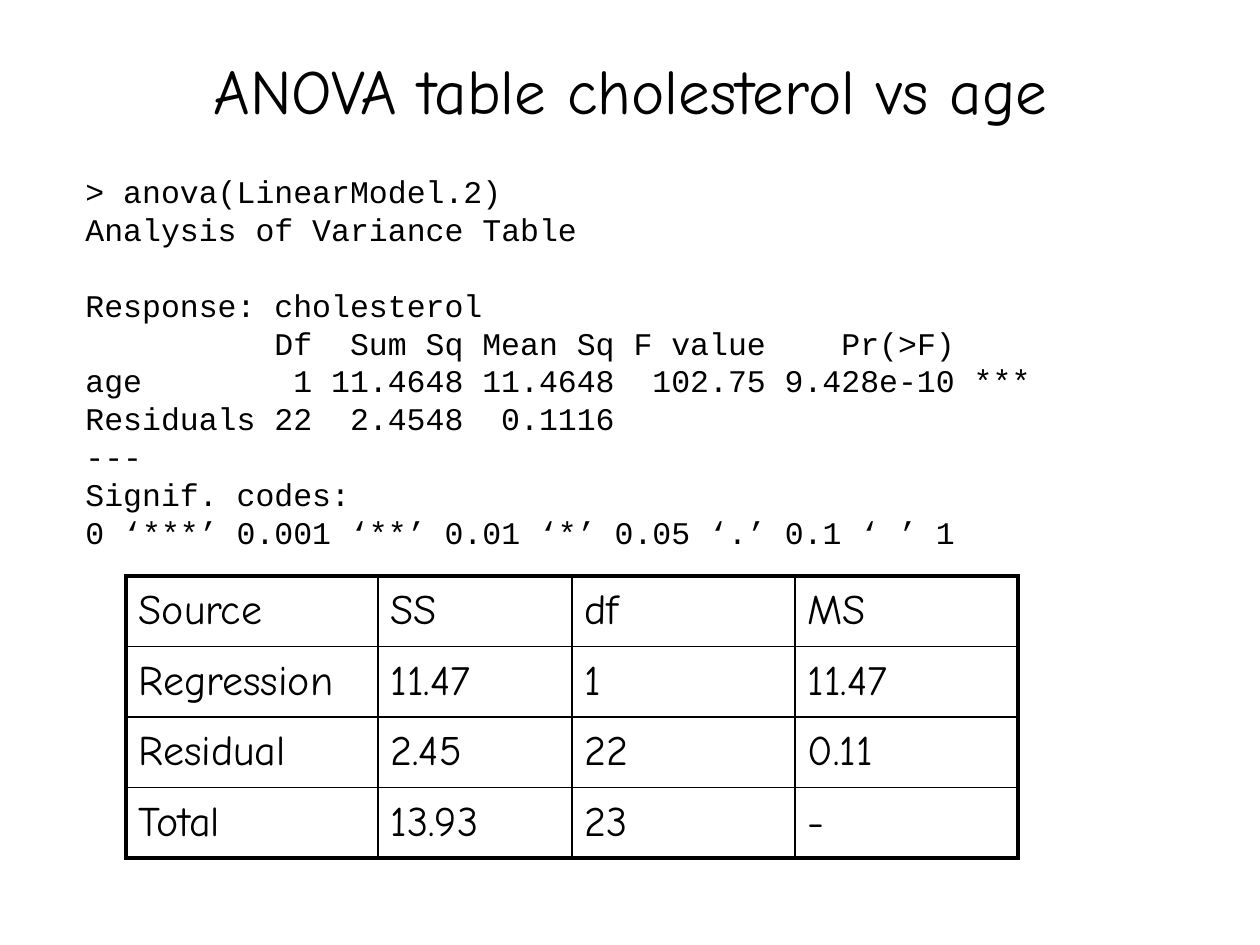
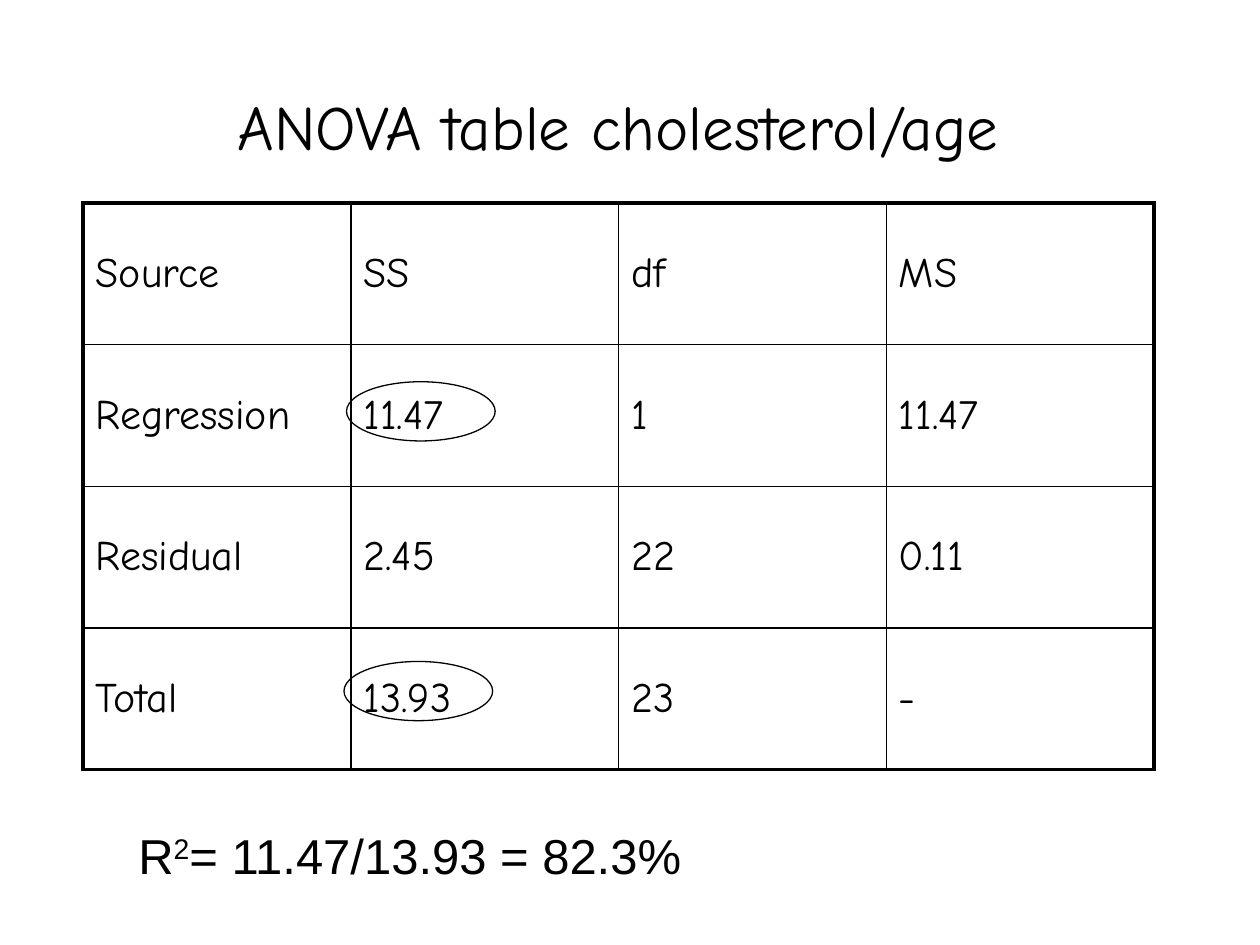
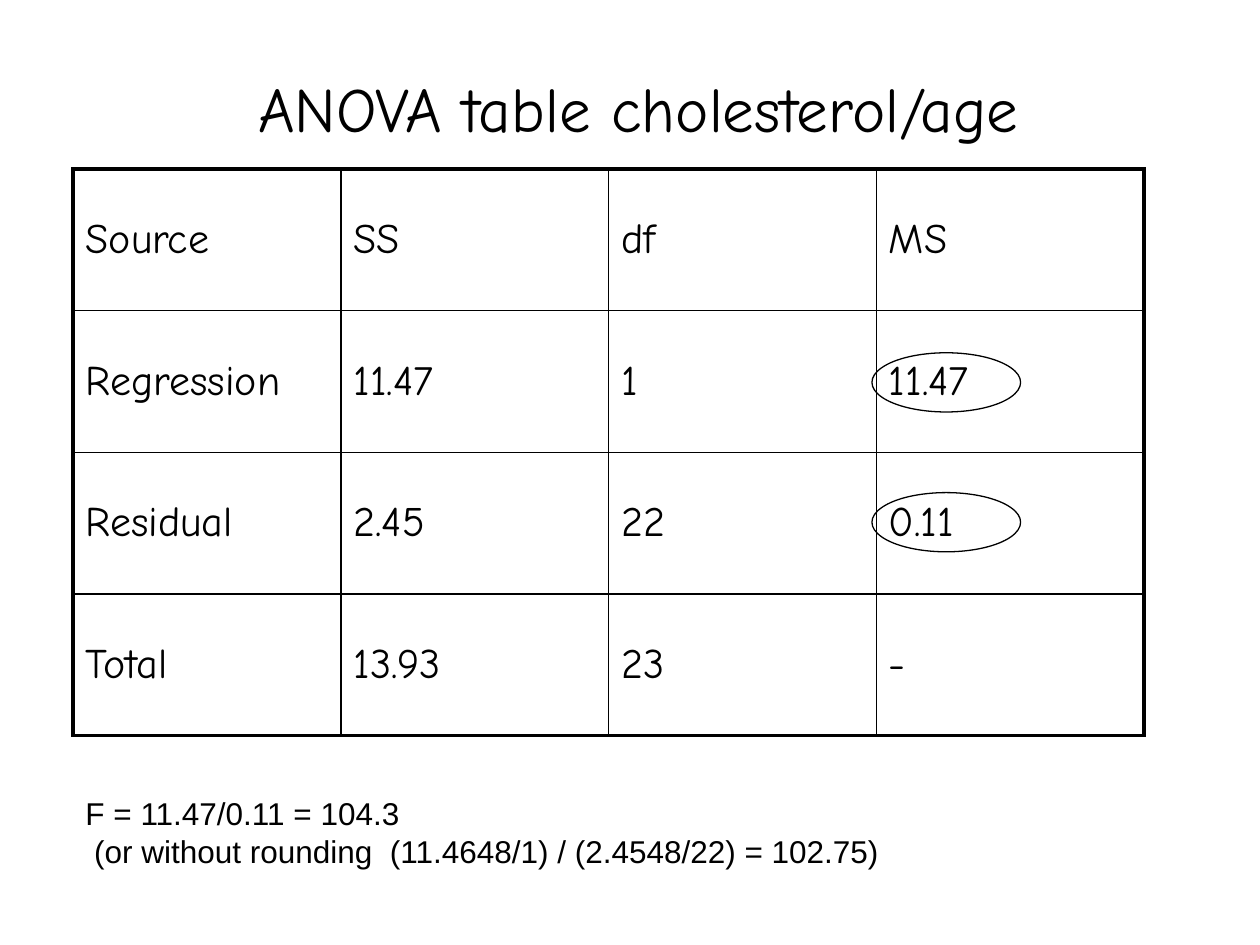
from dataclasses import dataclass

from lxml.etree import SubElement
from pptx import Presentation
from pptx.dml.color import RGBColor
from pptx.enum.shapes import MSO_SHAPE
from pptx.enum.text import MSO_ANCHOR, PP_ALIGN
from pptx.oxml.ns import qn
from pptx.util import Inches, Pt


@dataclass(frozen=True)
class Theme:
    ink: str = "000000"
    heading_font: str = "Comic Neue"
    body_font: str = "Arial"
    code_font: str = "Courier New"
    title_size: float = 36
    formula_size: float = 28
    cell_size: float = 24
    text_size: float = 18
    frame_line: float = 2.25
    grid_line: float = 1
    circle_line: float = 0.75


THEME = Theme()
INK = RGBColor.from_string(THEME.ink)


def style_text(frame, font, size):
    for paragraph in frame.paragraphs:
        for run in paragraph.runs:
            run.font.name = font
            run.font.size = Pt(size)
            run.font.color.rgb = INK


def add_text(slide, box, text, font, size):
    frame = slide.shapes.add_textbox(*map(Inches, box)).text_frame
    frame.word_wrap = True
    frame.text = text
    style_text(frame, font, size)
    return frame


ANOVA_ROWS = [
    ("Source", "SS", "df", "MS"),
    ("Regression", "11.47", "1", "11.47"),
    ("Residual", "2.45", "22", "0.11"),
    ("Total", "13.93", "23", "-"),
]
LAST = len(ANOVA_ROWS) - 1
EVEN_COLUMNS = [2.125] * 4
CIRCLE_SIZE = (1.18, 0.47)

# title, title position, table position, column widths, row height, circle positions
SLIDES = [
    ("ANOVA table cholesterol vs age", (0.67, 0.08), (1, 4.57),
     [2, 1.54, 1.77, 1.77], 0.56, []),
    ("ANOVA table cholesterol/age", (0.57, 0.37), (0.66, 1.61),
     EVEN_COLUMNS, 1.125, [(2.75, 3.03), (2.73, 5.25)]),
    ("ANOVA table cholesterol/age", (0.73, 0.23), (0.58, 1.34),
     EVEN_COLUMNS, 1.125, [(6.92, 2.8), (6.92, 3.91)]),
]

prs = Presentation()
prs.slide_width = Inches(10)
prs.slide_height = Inches(7.5)

for title, title_at, table_at, widths, row_height, circles in SLIDES:
    slide = prs.slides.add_slide(prs.slide_layouts[6])
    heading = add_text(slide, (*title_at, 8.67, 1.25), title,
                       THEME.heading_font, THEME.title_size)
    heading.vertical_anchor = MSO_ANCHOR.MIDDLE
    heading.paragraphs[0].alignment = PP_ALIGN.CENTER

    table_size = (sum(widths), row_height * len(ANOVA_ROWS))
    anova = slide.shapes.add_table(len(ANOVA_ROWS), len(widths),
                                   *map(Inches, table_at + table_size)).table
    anova.first_row = anova.horz_banding = False
    for column, width in zip(anova.columns, widths):
        column.width = Inches(width)
    for r, values in enumerate(ANOVA_ROWS):
        for c, value in enumerate(values):
            cell = anova.cell(r, c)
            cell.text = value
            cell.vertical_anchor = MSO_ANCHOR.MIDDLE
            style_text(cell.text_frame, THEME.heading_font, THEME.cell_size)
            outer_edges = {"lnL": c == 0, "lnR": c == LAST, "lnT": r == 0, "lnB": r == LAST}
            for edge, is_outer in outer_edges.items():
                weight = THEME.frame_line if is_outer else THEME.grid_line
                border = SubElement(cell._tc.get_or_add_tcPr(), qn(f"a:{edge}"), w=str(Pt(weight)))
                SubElement(SubElement(border, qn("a:solidFill")), qn("a:srgbClr"), val=THEME.ink)
            cell.fill.background()

    for circle_at in circles:
        circle = slide.shapes.add_shape(MSO_SHAPE.OVAL, *map(Inches, circle_at + CIRCLE_SIZE))
        circle.shadow.inherit = False
        circle.fill.background()
        circle.line.color.rgb = INK
        circle.line.width = Pt(THEME.circle_line)

console_slide, r_squared_slide, f_slide = prs.slides

# Console output: the numbers line up on tab stops, counted in characters
CONSOLE = [
    "> anova(LinearModel.2)",
    "Analysis of Variance Table",
    "Response: cholesterol",
    "\tDf\tSum Sq\tMean Sq\tF value\tPr(>F)",
    "age\t1\t11.4648\t11.4648\t102.75\t9.428e-10\t***",
    "Residuals\t22\t2.4548\t0.1116",
    "---",
    "Signif. codes:",
    "0 ‘***’ 0.001 ‘**’ 0.01 ‘*’ 0.05 ‘.’ 0.1 ‘ ’ 1",
]
CHARACTER_WIDTH = 0.15
TAB_STOPS = [(12, "r"), (20, "r"), (28, "r"), (36, "r"), (46, "r"), (47, "l")]
console = add_text(console_slide, (0.58, 1.32, 8.5, 3.13), "\n".join(CONSOLE),
                   THEME.code_font, THEME.text_size)
for line in console.paragraphs:
    line.line_spacing = Pt(21.6)
    if "\t" in line.text:
        stops = SubElement(line._p.get_or_add_pPr(), qn("a:tabLst"))
        for characters, side in TAB_STOPS:
            SubElement(stops, qn("a:tab"), pos=str(Inches(characters * CHARACTER_WIDTH)), algn=side)
console.paragraphs[2].space_before = Pt(21.6)

r_squared = add_text(r_squared_slide, (1, 6.5, 5.42, 0.57), "R",
                     THEME.body_font, THEME.formula_size)
formula = r_squared.paragraphs[0]
exponent, result = formula.add_run(), formula.add_run()
exponent.text = "2"
result.text = "= 11.47/13.93 = 82.3%"
style_text(r_squared, THEME.body_font, THEME.formula_size)
exponent._r.get_or_add_rPr().set("baseline", "30000")

f_ratio = add_text(f_slide, (0.58, 6.25, 8.25, 0.71),
                   "F = 11.47/0.11 = 104.3\n"
                   " (or without rounding  (11.4648/1) / (2.4548/22) = 102.75)",
                   THEME.body_font, THEME.text_size)
for line in f_ratio.paragraphs:
    line.line_spacing = Pt(21.6)

prs.save("out.pptx")
